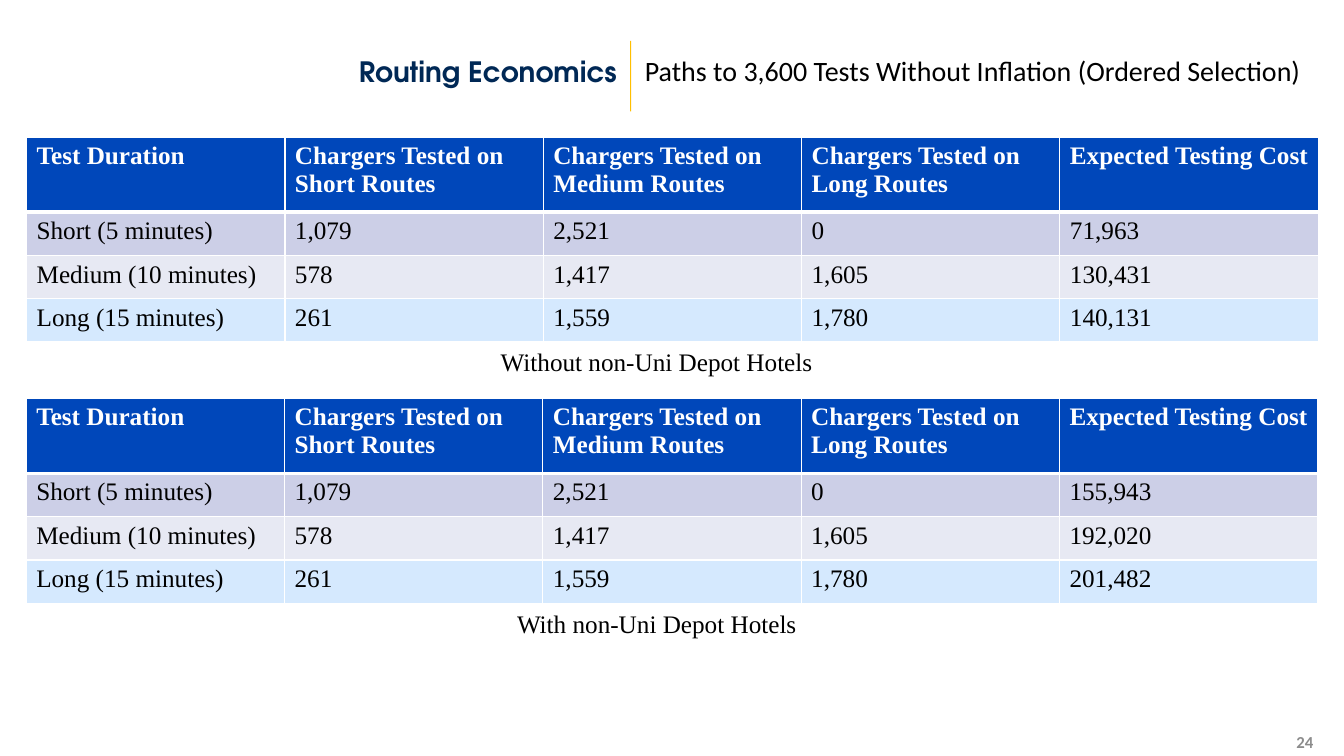
from lxml import etree
from pptx import Presentation
from pptx.dml.color import RGBColor
from pptx.enum.shapes import MSO_SHAPE
from pptx.enum.text import MSO_ANCHOR, PP_ALIGN
from pptx.oxml.ns import qn
from pptx.util import Cm, Pt

RECTANGLE = MSO_SHAPE.RECTANGLE
TOP, MIDDLE = MSO_ANCHOR.TOP, MSO_ANCHOR.MIDDLE
LEFT, RIGHT = PP_ALIGN.LEFT, PP_ALIGN.RIGHT

WHITE = RGBColor(0xFF, 0xFF, 0xFF)
BLACK = RGBColor(0x00, 0x00, 0x00)
NAVY = RGBColor(0x00, 0x28, 0x55)
GOLD = RGBColor(0xFF, 0xBF, 0x00)
GREY = RGBColor(0x8C, 0x8C, 0x8C)
HEADER_BLUE = RGBColor(0x00, 0x47, 0xBA)
ROW_FILLS = [
    HEADER_BLUE,
    RGBColor(0xCC, 0xCF, 0xE7),
    RGBColor(0xE7, 0xE9, 0xF3),
    RGBColor(0xD5, 0xE9, 0xFE),
]

SERIF = "Times New Roman"
COLUMN_WIDTH = Cm(6.51)
HEADER_HEIGHT, ROW_HEIGHT = Cm(1.9), Cm(1.09)

HEADINGS = [
    "Test Duration",
    "Chargers Tested on Short Routes",
    "Chargers Tested on Medium Routes",
    "Chargers Tested on Long Routes",
    "Expected Testing Cost",
]
ROUTES = [
    ["Short (5 minutes)", "1,079", "2,521", "0"],
    ["Medium (10 minutes)", "578", "1,417", "1,605"],
    ["Long (15 minutes)", "261", "1,559", "1,780"],
]
COSTS_WITHOUT = ["71,963", "130,431", "140,131"]
COSTS_WITH = ["155,943", "192,020", "201,482"]


def set_all(target, values):
    for name, value in values.items():
        setattr(target, name, value)


def write(frame, text, color, name=SERIF, size=18, bold=False, **para_format):
    para = frame.paragraphs[0]
    set_all(para, para_format)
    span = para.add_run()
    span.text = text
    set_all(span.font, {"name": name, "size": Pt(size), "bold": bold})
    span.font.color.rgb = color


def add_text(page, left, top, width, height, text, color, anchor=TOP,
             margin_left=Cm(0.25), **text_format):
    box = page.shapes.add_textbox(Cm(left), Cm(top), Cm(width), Cm(height))
    set_all(box.text_frame, {
        "word_wrap": True,
        "vertical_anchor": anchor,
        "margin_left": margin_left,
    })
    write(box.text_frame, text, color, **text_format)


def add_divider(page):
    bar = page.shapes.add_shape(RECTANGLE, Cm(15.88), Cm(1.03), Cm(0.03), Cm(1.78))
    bar.shadow.inherit = False
    bar.fill.solid()
    bar.fill.fore_color.rgb = GOLD
    bar.line.fill.background()


def set_borders(cell, widths):
    properties = cell._tc.get_or_add_tcPr()
    for index, (side, width) in enumerate(widths.items()):
        line = etree.Element(qn(f"a:{side}"), w=str(Pt(width)))
        fill = etree.SubElement(line, qn("a:solidFill"))
        etree.SubElement(fill, qn("a:srgbClr"), val=str(WHITE))
        properties.insert(index, line)


def add_cost_table(page, left, top, costs):
    rows = [HEADINGS] + [route + [cost] for route, cost in zip(ROUTES, costs)]
    table = page.shapes.add_table(
        len(rows), len(HEADINGS), Cm(left), Cm(top),
        COLUMN_WIDTH * len(HEADINGS), HEADER_HEIGHT + ROW_HEIGHT * len(costs),
    ).table
    for column in table.columns:
        column.width = COLUMN_WIDTH
    for index, values in enumerate(rows):
        header = index == 0
        table.rows[index].height = HEADER_HEIGHT if header else ROW_HEIGHT
        for column, text in enumerate(values):
            cell = table.cell(index, column)
            cell.fill.solid()
            cell.fill.fore_color.rgb = ROW_FILLS[index]
            write(cell.text_frame, text, WHITE if header else BLACK, bold=header)
            set_borders(cell, {
                "lnL": 1,
                "lnR": 1,
                "lnT": 3 if index == 1 else 1,
                "lnB": 3 if header else 1,
            })


def main():
    deck = Presentation()
    deck.slide_width, deck.slide_height = Cm(33.87), Cm(19.05)
    page = deck.slides.add_slide(deck.slide_layouts[6])

    # Title line
    add_divider(page)
    add_text(page, 0.69, 0.89, 15.11, 1.9, "Routing Economics", NAVY, MIDDLE,
             Cm(1.52), name="TeX Gyre Adventor", size=20, bold=True,
             alignment=RIGHT, line_spacing=0.9, space_before=Pt(10))
    add_text(page, 16, 0.89, 17.07, 1.9,
             "Paths to 3,600 Tests Without Inflation (Ordered Selection)",
             BLACK, MIDDLE, name="Calibri", size=20,
             alignment=LEFT, line_spacing=0.8)

    # Tables with captions below
    add_cost_table(page, 0.67, 3.45, COSTS_WITHOUT)
    add_text(page, 12.37, 8.61, 9.17, 1.02, "Without non-Campus Depot Hotels".replace("Campus", "Uni"), BLACK)
    add_cost_table(page, 0.66, 10.03, COSTS_WITH)
    add_text(page, 12.78, 15.21, 8.28, 1.02, "With non-Uni Depot Hotels", BLACK)

    # Page number
    add_text(page, 25.73, 18.34, 7.62, 0.71, "24", GREY, MIDDLE,
             name="Calibri", size=12, bold=True, alignment=RIGHT)

    deck.save("out.pptx")


if __name__ == "__main__":
    main()
